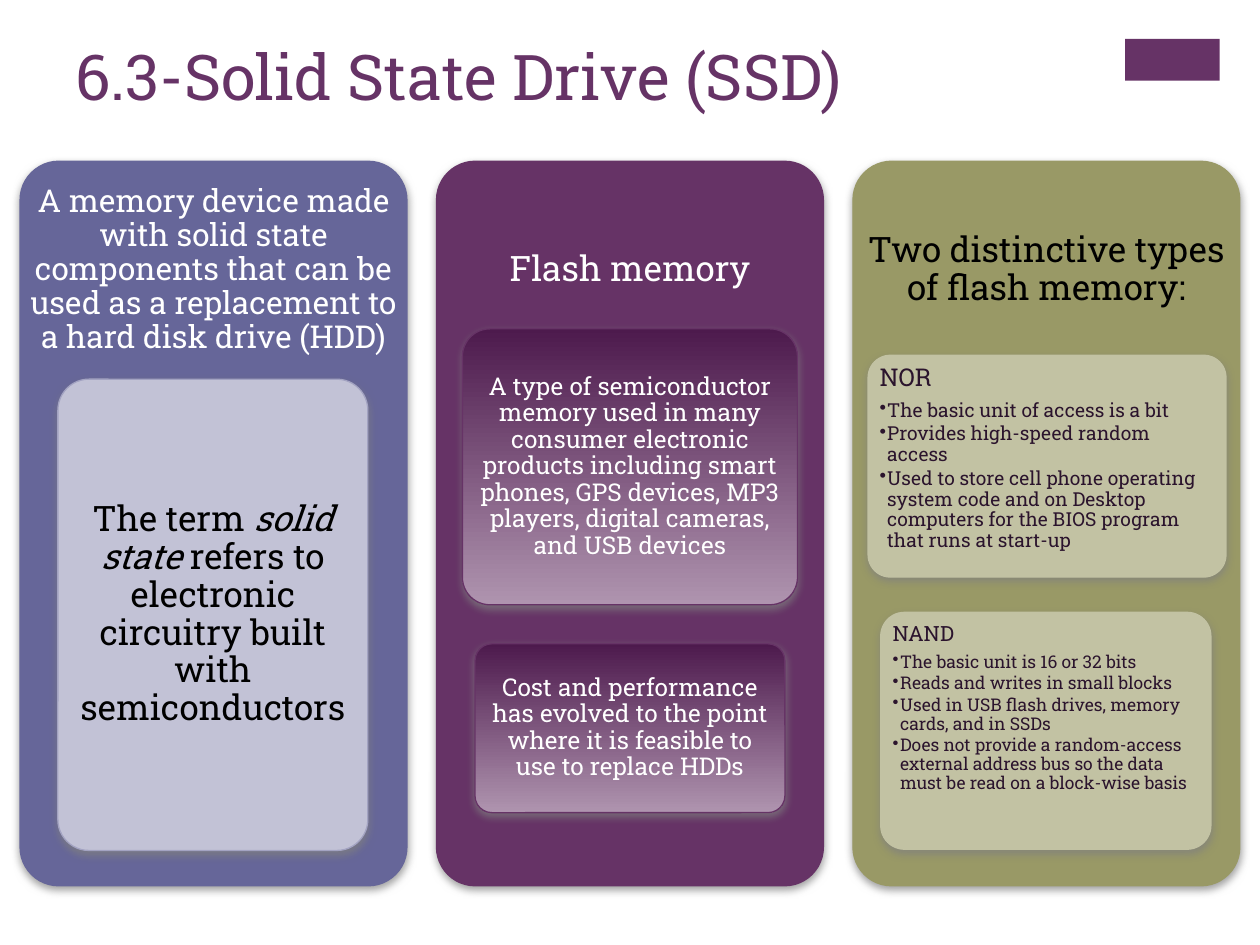
from lxml import etree
from pptx import Presentation
from pptx import util as u
from pptx.dml.color import RGBColor
from pptx.enum import shapes, text
from pptx.oxml.ns import qn

WHITE, BLACK, PLUM, DARK = "FFFFFF", "000000", "663366", "2B142D"
FADE = ("4D1A4D", "AF94AF")


def tint(code):
    return RGBColor.from_string(code)


class Deck:
    face = "Roboto Slab"
    gap = 0.9
    bend = 0.1

    def __init__(self, wide, high):
        self.file = Presentation()
        self.file.slide_width = u.Inches(wide)
        self.file.slide_height = u.Inches(high)
        self.slide = self.file.slides.add_slide(self.file.slide_layouts[6])

    def block(self, kind, area, fill):
        form = self.slide.shapes.add_shape(kind, *map(u.Inches, area))
        form.shadow.inherit = False
        if isinstance(fill, tuple):
            form.fill.gradient()
            form.fill.gradient_angle = 270
            for stop, code, spot in zip(form.fill.gradient_stops, fill, (0, 1)):
                stop.color.rgb = tint(code)
                stop.position = spot
        else:
            form.fill.solid()
            form.fill.fore_color.rgb = tint(fill)
        form.line.fill.background()
        return form

    def card(self, area, fill, edge):
        form = self.block(shapes.MSO_SHAPE.ROUNDED_RECTANGLE, area, fill)
        form.adjustments[0] = self.bend
        form.line.color.rgb = tint(edge)
        form.line.width = u.Pt(0.75)
        list_ = form._element.spPr.find(qn("a:effectLst"))
        glow = etree.SubElement(list_, qn("a:outerShdw"), blurRad=str(u.Pt(5)),
                                dist=str(u.Pt(2)), dir="5400000", rotWithShape="0")
        hue = etree.SubElement(glow, qn("a:srgbClr"), val="808080")
        etree.SubElement(hue, qn("a:alpha"), val="75000")

    def frame(self, area, pad, anchor):
        body = self.slide.shapes.add_textbox(*map(u.Inches, area)).text_frame
        body.word_wrap = True
        body.vertical_anchor = anchor
        body.margin_left = body.margin_right = u.Inches(pad[0])
        body.margin_top = body.margin_bottom = u.Inches(pad[1])
        return body

    def style(self, para, size, hue, after=0.35):
        para.line_spacing = self.gap
        para.space_after = u.Pt(round(size * after, 2))
        para.font.name = self.face
        para.font.size = u.Pt(size)
        para.font.color.rgb = tint(hue)

    def title(self, words):
        body = self.frame((0.5, 0.25, 8.26, 0.97), (0.1, 0.05), text.MSO_ANCHOR.TOP)
        para = body.paragraphs[0]
        para.text = words
        self.style(para, 36, PLUM, 0)
        para.line_spacing = 1.0

    def prose(self, area, pad, parts, size, hue):
        para = self.frame(area, pad, text.MSO_ANCHOR.MIDDLE).paragraphs[0]
        para.alignment = text.PP_ALIGN.CENTER
        self.style(para, size, hue)
        for spot, part in enumerate(parts):
            run = para.add_run()
            run.text = part
            if spot % 2:
                run.font.italic = True

    def column(self, left, fill, words, size, hue):
        self.card((left, 1.28, 3.07, 5.75), fill, fill)
        self.prose((left, 1.28, 3.07, 1.73), (0.07, 0.07), [words], size, hue)

    def inner(self, area):
        left, top, wide, high = area
        inset = 0.29 * self.bend * min(wide, high)
        return left + inset, top + inset, wide - 2 * inset, high - 2 * inset

    def panel(self, area, fill, edge, parts, size, hue, pad=(0.04, 0.03)):
        self.card(area, fill, edge)
        self.prose(self.inner(area), pad, parts, size, hue)

    def points(self, area, fill, head, items, large, small):
        self.card(area, fill, fill)
        body = self.frame(self.inner(area), (0.04, 0.03), text.MSO_ANCHOR.TOP)
        para = body.paragraphs[0]
        para.text = head
        self.style(para, large, DARK)
        for item in items:
            para = body.add_paragraph()
            para.text = item
            para.level = 1
            self.style(para, small, DARK, 0.15)
            props = para._p.get_or_add_pPr()
            props.set("marL", str(u.Inches(0.06)))
            props.set("indent", str(u.Inches(-0.06)))
            mark = etree.Element(qn("a:buChar"), char="•")
            props.find(qn("a:defRPr")).addprevious(mark)


def main():
    deck = Deck(10, 7.5)
    deck.block(shapes.MSO_SHAPE.RECTANGLE, (8.93, 0.31, 0.75, 0.33), PLUM)
    deck.title("6.3-Solid State Drive (SSD)")

    columns = [
        ("666699", "A memory device made with solid state components that can be "
         "used as a replacement to a hard disk drive (HDD)", 18, WHITE),
        (PLUM, "Flash memory", 20, WHITE),
        ("999966", "Two distinctive types of flash memory:", 20, BLACK),
    ]
    for spot, column in enumerate(columns):
        deck.column(0.16 + 3.305 * spot, *column)

    deck.panel((0.46, 3.01, 2.46, 3.74), "C2C2D6", "A3A3C2",
               ["The term ", "solid state ",
                "refers to electronic circuitry built with semiconductors"],
               20, BLACK, (0.06, 0.04))

    uses = [
        ((3.67, 2.61, 2.66, 2.19),
         "A type of semiconductor memory used in many consumer electronic products "
         "including smart phones, GPS devices, MP3 players, digital cameras, "
         "and USB devices"),
        ((3.77, 5.11, 2.46, 1.34),
         "Cost and performance has evolved to the point where it is feasible "
         "to use to replace HDDs"),
    ]
    for area, words in uses:
        deck.panel(area, FADE, PLUM, [words], 14, WHITE)

    types = [
        ((6.89, 2.82, 2.84, 1.76), "NOR", 14, 11, [
            "The basic unit of access is a bit",
            "Provides high-speed random access",
            "Used to store cell phone operating system code and on Desktop "
            "computers for the BIOS program that runs at start-up"]),
        ((6.99, 4.86, 2.62, 1.88), "NAND", 12, 10, [
            "The basic unit is 16 or 32 bits",
            "Reads and writes in small blocks",
            "Used in USB flash drives, memory cards, and in SSDs",
            "Does not provide a random-access external address bus so the data "
            "must be read on a block-wise basis"]),
    ]
    for area, head, large, small, items in types:
        deck.points(area, "C2C2A3", head, items, large, small)

    deck.file.save("out.pptx")


if __name__ == "__main__":
    main()
